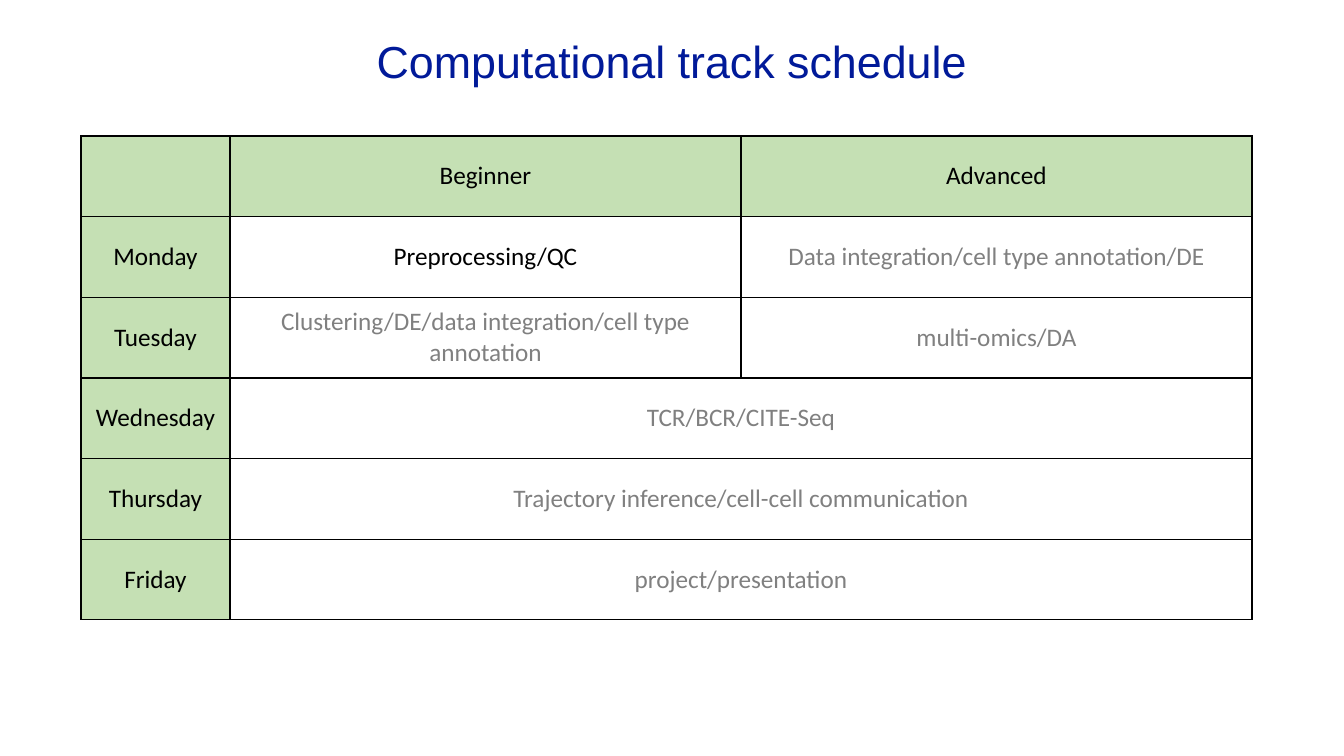
from lxml import etree
from pptx import Presentation
from pptx import util as u
from pptx.dml.color import RGBColor
from pptx.enum import text
from pptx.oxml.ns import qn

EMU_PER_PX = 914400 / 100.8
NAVY, BLACK, GRAY, GREEN = "011A99", "000000", "808080", "C5E0B4"
COLUMNS = (149, 511, 511)
SCHEDULE = (
    ("", "Beginner", "Advanced"),
    ("Monday", "Preprocessing/QC", "Data integration/cell type annotation/DE"),
    ("Tuesday", "Clustering/DE/data integration/cell type annotation", "multi-omics/DA"),
    ("Wednesday", "TCR/BCR/CITE-Seq"),
    ("Thursday", "Trajectory inference/cell-cell communication"),
    ("Friday", "project/presentation"),
)
CURRENT = "Preprocessing/QC"


def px(n):
    """Convert pixels to EMU."""
    return u.Emu(round(n * EMU_PER_PX))


def rgb(value):
    """Turn a hex string into a colour."""
    return RGBColor.from_string(value)


def write(tf, words, font="Calibri", size=18, color=BLACK):
    """Write one centred, formatted paragraph into a text frame."""
    tf.word_wrap = True
    tf.vertical_anchor = text.MSO_ANCHOR.MIDDLE
    p = tf.paragraphs[0]
    p.alignment = text.PP_ALIGN.CENTER
    r = p.add_run()
    r.text = words
    r.font.name, r.font.size = font, u.Pt(size)
    r.font.color.rgb = rgb(color)


def add_title(s, words):
    """Add the slide title."""
    sp = s.shapes.add_textbox(0, 0, px(1344), px(121))
    write(sp.text_frame, words, font="Arial", size=32, color=NAVY)


def add_borders(cell, color=BLACK, width=1):
    """Draw all four borders of a cell."""
    tc_pr = cell._tc.get_or_add_tcPr()
    for side in ("a:lnL", "a:lnR", "a:lnT", "a:lnB"):
        ln = etree.SubElement(tc_pr, qn(side), w=str(u.Pt(width)))
        fill = etree.SubElement(ln, qn("a:solidFill"))
        etree.SubElement(fill, qn("a:srgbClr"), val=color)


def style_cell(cell, heading):
    """Set the borders, margins, anchor and fill of a cell."""
    add_borders(cell)
    cell.margin_left = cell.margin_right = px(3)
    cell.margin_top = cell.margin_bottom = px(2)
    cell.vertical_anchor = text.MSO_ANCHOR.MIDDLE
    if heading:
        cell.fill.solid()
        cell.fill.fore_color.rgb = rgb(GREEN)
    else:
        cell.fill.background()


def add_schedule(s, rows):
    """Add the schedule table, merging the sessions shared by both tracks."""
    frame = s.shapes.add_table(len(rows), len(COLUMNS), px(81), px(136),
                               px(sum(COLUMNS)), px(484))
    table = frame.table
    table.first_row = table.horz_banding = False
    for column, width in zip(table.columns, COLUMNS):
        column.width = px(width)
    for i, row in enumerate(rows):
        for j in range(len(COLUMNS)):
            style_cell(table.cell(i, j), heading=i == 0 or j == 0)
        if len(row) < len(COLUMNS):
            table.cell(i, 1).merge(table.cell(i, 2))
        for j, words in enumerate(row):
            if words:
                dark = i == 0 or j == 0 or words == CURRENT
                write_cell(table.cell(i, j), words, BLACK if dark else GRAY)


def write_cell(cell, words, color):
    """Write centred words into a table cell."""
    write(cell.text_frame, words, color=color)


def main():
    """Build and save the schedule slide."""
    prs = Presentation()
    prs.slide_width, prs.slide_height = px(1344), px(756)
    s = prs.slides.add_slide(prs.slide_layouts[6])
    add_title(s, "Computational track schedule")
    add_schedule(s, SCHEDULE)
    prs.save("out.pptx")


if __name__ == "__main__":
    main()
